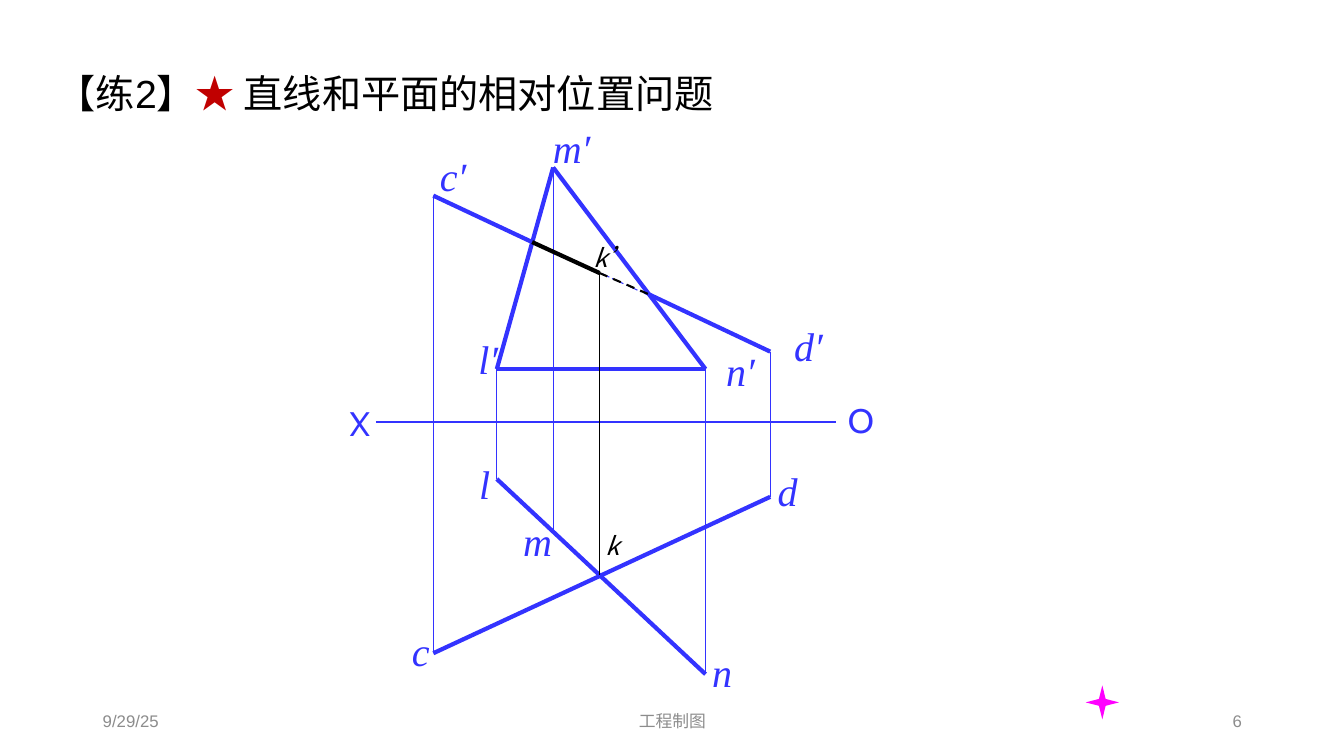
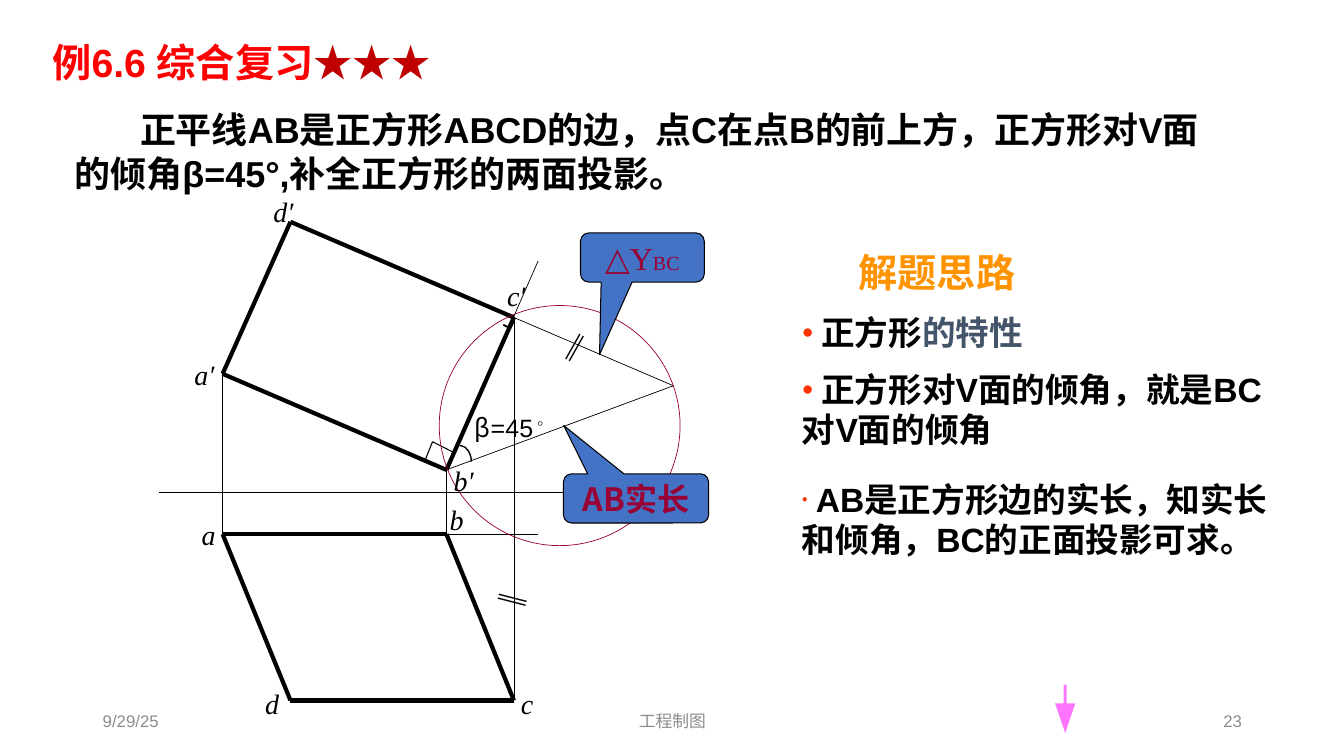
from copy import deepcopy
from dataclasses import dataclass
from typing import NamedTuple

from lxml import etree
from pptx import Presentation
from pptx import util as u
from pptx.dml.color import RGBColor
from pptx.enum import dml, shapes, text
from pptx.oxml import ns

HUES = {
    "black": "000000", "blue": "3333FF", "red": "FF0000", "star": "C00000",
    "grey": "8C8C8C", "wine": "990033", "orange": "FF9300", "slate": "44546A",
    "dot": "FF3300", "fill": "4472C4", "pink": "FF66FF", "spark": "FF00FF",
}
SERIF, SANS, HAN = "Times New Roman", "Arial", "Noto Sans CJK SC"
FORMS = {
    "title": dict(name=SANS, size=u.Pt(28), bold=False),
    "strong": dict(name=SANS, size=u.Pt(28), bold=True),
    "foot": dict(name=SANS, size=u.Pt(12)),
    "task": dict(name=SANS, size=u.Pt(25.7), bold=True),
    "item": dict(name=SANS, size=u.Pt(24), bold=True),
    "big": dict(name=SERIF, size=u.Pt(28.6), italic=True),
    "small": dict(name=SERIF, size=u.Pt(20), italic=True),
    "axis": dict(name="Cabin", size=u.Pt(24.3)),
    "cross": dict(name=HAN, size=u.Pt(18), italic=True),
    "beta": dict(name="Noto Sans CJK JP", size=u.Pt(17.9)),
    "angle": dict(name=SANS, size=u.Pt(17.9)),
    "mark": dict(name=SANS, size=u.Pt(18), bold=True),
    "corner": dict(name=HAN, size=u.Pt(20)),
    "call": dict(name=HAN, size=u.Pt(22.9), bold=True),
    "delta": dict(name=SERIF, size=u.Pt(22.9)),
    "sub": dict(name=SERIF, size=u.Pt(14.3)),
}
LEFT, MID, RIGHT = text.PP_ALIGN.LEFT, text.PP_ALIGN.CENTER, text.PP_ALIGN.RIGHT
WIDE, TIGHT = (0.25, 0.13), (0.18, 0.1)
DASH = dml.MSO_LINE


class Run(NamedTuple):
    text: str
    form: str
    hue: str = "black"
    base: int = 0


class Box(NamedTuple):
    x: float
    y: float
    w: float
    h: float


@dataclass
class Label:
    runs: list[Run]
    box: Box
    align: int = LEFT
    pad: tuple = WIDE
    wrap: bool = True
    turn: float = 0


@dataclass
class Line:
    ends: str
    width: float
    hue: str = "black"
    dash: object = None


@dataclass
class Item:
    runs: list[Run]
    gap: float
    dot: int = 58
    edge: float = 0


@dataclass
class Shape:
    kind: int
    box: Box
    adj: tuple = ()
    fill: str = ""
    line: str = ""
    width: float = 0.75
    runs: tuple = ()
    alpha: int = 100


FEET = {
    10: (Box(2.34, 17.65, 7.62, 1.02), LEFT),
    11: (Box(11.23, 17.65, 11.43, 1.02), MID),
    12: (Box(23.93, 17.65, 7.62, 1.02), RIGHT),
}


def tint(hue: str) -> RGBColor:
    return RGBColor.from_string(HUES[hue])


def apply(obj, vals: dict) -> None:
    for key, val in vals.items():
        setattr(obj, key, val)


def place(shape, box: Box) -> None:
    apply(shape, dict(zip(("left", "top", "width", "height"), map(u.Cm, box))))


def frame(shape, pad: tuple = WIDE, wrap: bool = True, anchor=text.MSO_ANCHOR.TOP):
    body = shape.text_frame
    side, top = map(u.Cm, pad)
    apply(body, dict(margin_left=side, margin_right=side, margin_top=top,
                     margin_bottom=top, word_wrap=wrap, vertical_anchor=anchor,
                     auto_size=text.MSO_AUTO_SIZE.NONE))
    return body


def write(para, runs, align=LEFT) -> None:
    para.alignment = align
    for part in runs:
        run = para.add_run()
        run.text = part.text
        apply(run.font, FORMS[part.form])
        run.font.color.rgb = tint(part.hue)
        if part.base:
            run.font._element.set("baseline", str(part.base * 1000))


def start(deck, kind: int, runs: list[Run], left: float, top: float, page: str):
    """Add a slide with its title and footers."""
    layout = deck.slide_layouts[kind]
    slide = deck.slides.add_slide(layout)
    place(slide.shapes.title, Box(left, top, 24, 1.44))
    body = frame(slide.shapes.title, anchor=text.MSO_ANCHOR.MIDDLE)
    write(body.paragraphs[0], runs)
    words = {10: "9/29/25", 11: "工程制图", 12: page}
    for holder in layout.placeholders:
        idx = holder.placeholder_format.idx
        if idx in FEET:
            slide.shapes._spTree.append(deepcopy(holder._element))
            foot = next(p for p in slide.placeholders
                        if p.placeholder_format.idx == idx)
            box, align = FEET[idx]
            place(foot, box)
            foot.text_frame.text = ""
            body = frame(foot, anchor=text.MSO_ANCHOR.MIDDLE)
            write(body.paragraphs[0], [Run(words[idx], "foot", "grey")], align)
    return slide


def draw(slide, dots: dict, lines: list[Line]) -> None:
    """Join named points, given as "from to", with straight lines."""
    for line in lines:
        head, tail = (dots[name] for name in line.ends.split())
        link = slide.shapes.add_connector(
            shapes.MSO_CONNECTOR.STRAIGHT, *map(u.Cm, head + tail))
        link.line.color.rgb = tint(line.hue)
        link.line.width = u.Pt(line.width)
        if line.dash:
            link.line.dash_style = line.dash
        etree.SubElement(link._element.spPr, ns.qn("a:effectLst"))


def label(slide, note: Label) -> None:
    shape = slide.shapes.add_textbox(*map(u.Cm, note.box))
    shape.rotation = note.turn
    body = frame(shape, note.pad, note.wrap)
    write(body.paragraphs[0], note.runs, note.align)


def stamp(slide, item: Shape) -> None:
    """Add a preset shape."""
    shape = slide.shapes.add_shape(item.kind, *map(u.Cm, item.box))
    shape.shadow.inherit = False
    for spot, val in enumerate(item.adj):
        shape.adjustments[spot] = val
    if item.fill:
        shape.fill.solid()
        shape.fill.fore_color.rgb = tint(item.fill)
        if item.alpha < 100:
            clr = shape._element.spPr.find(".//" + ns.qn("a:srgbClr"))
            etree.SubElement(clr, ns.qn("a:alpha"), val=str(item.alpha * 1000))
    else:
        shape.fill.background()
    if item.line:
        shape.line.color.rgb = tint(item.line)
        shape.line.width = u.Pt(item.width)
    else:
        shape.line.fill.background()
    if item.runs:
        body = frame(shape, TIGHT, anchor=text.MSO_ANCHOR.MIDDLE)
        write(body.paragraphs[0], item.runs, MID)


def bullet(para, item: Item) -> None:
    props = para._p.get_or_add_pPr()
    apply_xml = dict(marL="0", indent="0", marR=str(u.Cm(item.edge)))
    for key, val in apply_xml.items():
        props.set(key, val)
    clr = etree.SubElement(props, ns.qn("a:buClr"))
    etree.SubElement(clr, ns.qn("a:srgbClr"), val=HUES["dot"])
    etree.SubElement(props, ns.qn("a:buSzPct"), val=str(item.dot * 1000))
    etree.SubElement(props, ns.qn("a:buFont"), typeface=SANS)
    etree.SubElement(props, ns.qn("a:buChar"), char="●")
    para.space_before = u.Pt(item.gap)


def meet(deck) -> None:
    """Line meeting a plane, in two views."""
    slide = start(deck, 5, [
        Run("【练2】", "title"), Run("★ ", "title", "star"),
        Run("直线和平面的相对位置问题", "title")], 1.18, 1.63, "6")
    dots = {
        "c′": (10.92, 4.93), "d′": (19.41, 8.86), "m′": (13.94, 4.22),
        "n′": (17.78, 9.3), "l′": (12.52, 9.3), "k′": (15.11, 6.88),
        "in": (13.41, 6.1), "out": (16.36, 7.42),
        "c": (10.92, 16.46), "d": (19.41, 12.52), "m": (13.94, 13.41),
        "n": (17.78, 16.99), "l": (12.52, 12.07), "k": (15.11, 14.48),
        "X": (9.47, 10.64), "O": (21.08, 10.64),
    }
    thick = ["c d", "l′ m′", "m′ n′", "l′ n′", "l n", "c′ in", "out d′"]
    lines = [Line("c′ d′", 0.75, "blue", DASH.LONG_DASH_DOT), Line("X O", 1.5, "blue")]
    lines += [Line(f"{name}′ {name}", 0.75, "blue") for name in "cdlmn"]
    lines += [Line(ends, 3, "blue") for ends in thick]
    lines += [Line("k′ k", 0.75), Line("in k′", 3), Line("k′ out", 1.5, dash=DASH.DASH)]
    draw(slide, dots, lines)
    for name, x, y, w in [
        ("c′", 10.39, 3.68, 2.06), ("m′", 13.16, 2.97, 2.49),
        ("l′", 11.15, 8.31, 2.31), ("d′", 19.13, 7.98, 2.49),
        ("n′", 17.42, 8.59, 2.49), ("l", 11.63, 11.46, 1.17),
        ("n", 17.35, 16.18, 1.7), ("c", 9.93, 15.65, 1.35),
        ("d", 19.23, 11.63, 1.24), ("m", 12.7, 12.88, 1.7),
        ("X", 8.41, 10.01, 1.32), ("O", 21.01, 9.93, 1.37),
    ]:
        form = "axis" if name in "XO" else "big"
        label(slide, Label([Run(name, form, "blue")], Box(x, y, w, 1.47), MID))
    for name, x, y, w in [("k’", 14.71, 5.97, 0.97), ("k", 15.01, 13.23, 0.81)]:
        label(slide, Label([Run(name, "cross")], Box(x, y, w, 1.02), wrap=False))
    stamp(slide, Shape(shapes.MSO_SHAPE.STAR_4_POINT, Box(27.36, 17.27, 0.84, 0.86),
                       (0.142,), "spark"))


def square(deck) -> None:
    """Square from one edge and its slope, with the way to solve it."""
    slide = start(deck, 1, [
        Run("例6.6 综合复习", "strong", "red"), Run("★★★", "title", "star")],
        1.07, 0.84, "23")
    task = slide.shapes.add_textbox(*map(u.Cm, (1.7, 2.62, 29.3, 2.39)))
    para = frame(task, TIGHT).paragraphs[0]
    para._p.get_or_add_pPr().set("indent", str(u.Cm(1.65)))
    write(para, [Run("正平线AB是正方形ABCD的边，点C在点B的前上方，"
                     "正方形对V面的倾角β=45°,补全正方形的两面投影。", "task")])
    dots = {
        "a′": (5.61, 9.42), "b′": (11.25, 11.84), "c′": (12.95, 8.0),
        "d′": (7.32, 5.59), "a": (5.61, 13.46), "b": (11.25, 13.46),
        "c": (12.95, 17.65), "d": (7.32, 17.65),
        "up": (13.56, 6.58), "tip": (16.97, 9.72), "east": (13.56, 13.46),
        "X": (4.01, 12.4), "O": (14.3, 12.4),
        "p": (10.72, 11.58), "q": (10.9, 11.13), "r": (11.43, 11.4),
    }
    thin = ["X O", "b′ up", "b′ tip", "c′ tip", "b east", "c′ c", "a′ a"]
    lines = [Line(ends, 0.5) for ends in thin]
    lines += [Line(ends, 0.75) for ends in ("b′ b", "p q", "q r")]
    for one, two in zip("abcd", "bcda"):
        lines += [Line(f"{one}′ {two}′", 3), Line(f"{one} {two}", 3)]
    draw(slide, dots, lines)
    kinds = shapes.MSO_SHAPE
    call = kinds.ROUNDED_RECTANGULAR_CALLOUT
    for item in [
        Shape(kinds.OVAL, Box(11.07, 7.7, 6.07, 6.05), line="wine", width=0.5),
        Shape(kinds.ARC, Box(11.3, 11.23, 0.58, 0.81), line="black", width=1),
        Shape(call, Box(14.2, 11.94, 3.66, 1.24), (-0.498, -1.482, 0.167),
              "fill", "black", runs=(Run("AB实长", "call", "wine"),)),
        Shape(call, Box(14.63, 5.87, 3.12, 1.24), (-0.346, 1.974, 0.167),
              "fill", "black",
              runs=(Run("△Y", "delta", "wine"), Run("BC", "sub", "wine"))),
        Shape(kinds.DOWN_ARROW, Box(26.59, 17.25, 0.51, 1.22), (0.153, 1.459),
              "pink", alpha=90),
    ]:
        stamp(slide, item)
    for name, x, y in [
        ("a′", 4.72, 8.92), ("b′", 11.25, 11.58), ("c′", 12.6, 6.91),
        ("d′", 6.71, 4.8), ("a", 4.9, 12.93), ("b", 11.15, 12.57),
        ("c", 12.95, 17.2), ("d", 6.5, 17.2),
    ]:
        label(slide, Label([Run(name, "small")], Box(x, y, 1.5, 1.04), pad=TIGHT))
    label(slide, Label([Run("β", "beta"), Run("=45", "angle"), Run("◦", "beta", base=30)],
                       Box(11.79, 10.29, 2.59, 0.94), pad=TIGHT))
    for sign, form, box, turn in [
        ("∥", "mark", Box(14.02, 8.26, 1.14, 1.02), 29.5),
        ("∥", "mark", Box(12.37, 14.71, 1.14, 1.02), 104.4),
        ("⌟", "corner", Box(12.5, 7.47, 0.99, 1.12), 27.2),
    ]:
        label(slide, Label([Run(sign, form)], box, wrap=False, turn=turn))
    label(slide, Label([Run("解题思路", "strong", "orange")], Box(21.39, 6.12, 5.49, 1.45)))
    items = [
        Item([Run(" 正方形", "item"), Run("的特性", "item", "slate")], 0),
        Item([Run(" 正方形对V面的倾角，就是BC对V面的倾角", "item")], 12, edge=0.6),
        Item([Run(" AB是正方形边的实长，知实长和倾角，BC的正面投影可求。", "item")], 21, 29),
    ]
    holder = slide.placeholders[1]
    place(holder, Box(19.96, 7.72, 12.98, 6.6))
    body = frame(holder)
    for spot, item in enumerate(items):
        para = body.add_paragraph() if spot else body.paragraphs[0]
        bullet(para, item)
        write(para, item.runs)


def main() -> None:
    deck = Presentation()
    apply(deck, dict(slide_width=u.Cm(33.87), slide_height=u.Cm(19.05)))
    meet(deck)
    square(deck)
    deck.save("out.pptx")


if __name__ == "__main__":
    main()
